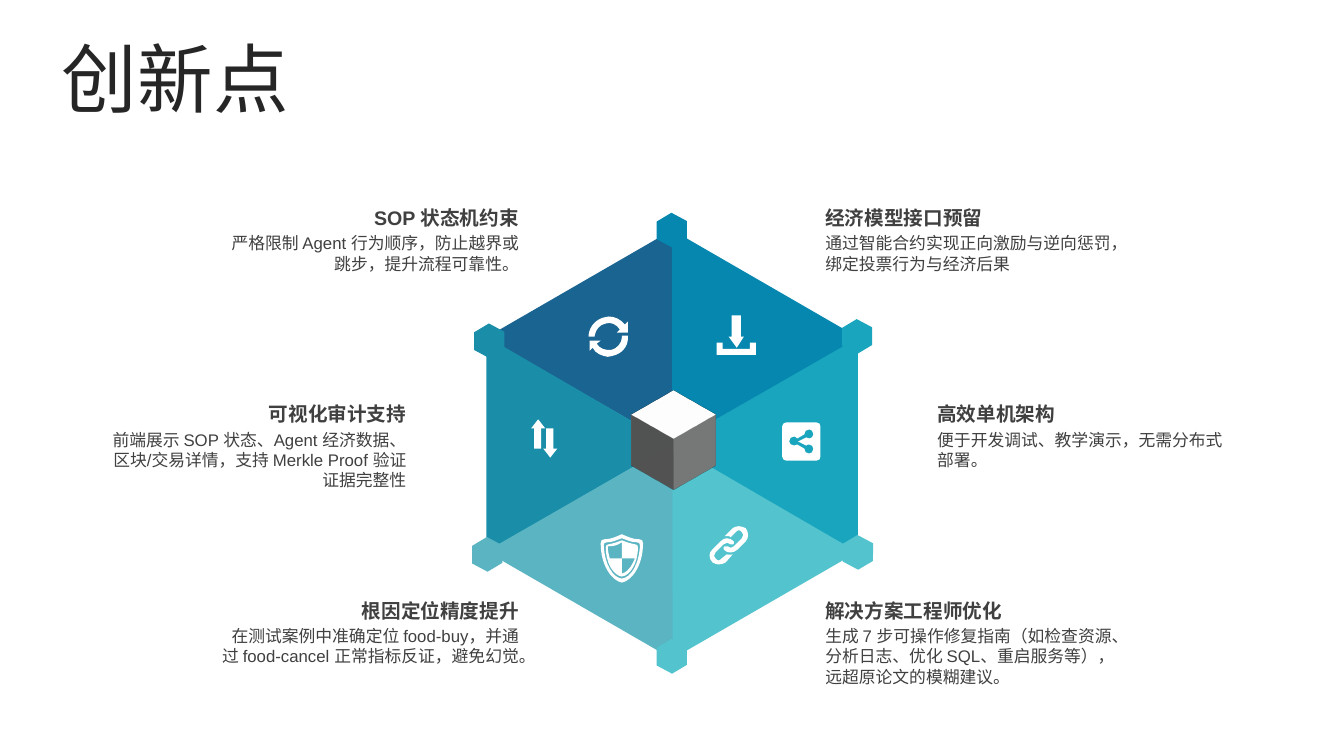
"""Build the innovation slide: a six-sector hexagon with icons and callouts."""
import math
from dataclasses import dataclass

from lxml import etree
from pptx import Presentation
from pptx.dml.color import RGBColor
from pptx.enum import shapes, text
from pptx.oxml.ns import qn
from pptx import util as u

CENTRE_X, CENTRE_Y, SECTOR_RADIUS = 16.94, 11.2, 2.34
SECTOR_WIDTH, SECTOR_HEIGHT = 5.43, 4.68
NODE_WIDTH, NODE_HEIGHT = 0.89, 0.76
CUBE_X, CUBE_Y, CUBE_SIDE, CUBE_DEPTH = 16.98, 10.45, 1.5, 1.56
FIRST_ROW, ROW_STEP, BODY_DROP = 5.06, 4.95, 0.69
CALLOUT_WIDTH = 8.0
ICON_UNIT = u.Cm(0.0254)


@dataclass
class Sector:
    angle: int
    colour: str


@dataclass
class Node:
    x: float
    y: float
    colour: str


@dataclass
class Callout:
    left: float
    row: int
    align: text.PP_ALIGN
    heading: str
    body: str
    height: float


LEFT, RIGHT = text.PP_ALIGN.LEFT, text.PP_ALIGN.RIGHT

SECTORS = [
    Sector(60, "53C3CD"), Sector(240, "196491"), Sector(0, "19A5BE"),
    Sector(180, "1A8EA9"), Sector(120, "5AB4C1"), Sector(300, "0587AF"),
]

NODES = [
    Node(16.93, 5.8, "0587AF"), Node(21.6, 8.48, "19A5BE"),
    Node(21.62, 13.92, "53C3CD"), Node(16.93, 16.54, "53C3CD"),
    Node(12.28, 13.97, "5AB4C1"), Node(12.33, 8.59, "1A8EA9"),
]

REFRESH = (
    "M617,333 L623,333 L623,335 C623,344,617,351,608,353 C607,353,605,354,603,354 "
    "C597,353,591,351,588,345 L585,348 L585,338 L596,338 L592,341 "
    "C595,346,601,348,607,347 C612,346,617,340,617,335 "
    "M604,314 C610,314,616,317,620,322 L623,319 L623,330 L612,330 L615,327 "
    "C612,322,606,319,601,321 C595,322,591,327,590,333 L590,334 L584,334 L584,332 "
    "C585,324,591,317,599,315 C601,314,602,314,604,314")
DOWNLOAD = (
    "M711,340 L717,340 L717,346 L744,346 L744,340 L750,340 L750,352 L711,352 "
    "M726,313 L735,313 L735,334 L738,334 L731,345 L723,334 L726,334")
ARROWS = (
    "M542,425 L549,425 L549,445 L553,445 L546,454 L539,445 L542,445 "
    "M534,416 L541,425 L537,425 L537,445 L530,445 L530,425 L527,425")
SHIELD = (
    "M617,554 L617,569 C625,567,628,558,630,554 "
    "M617,538 C612,541,610,542,603,542 C603,546,604,550,605,554 L617,554 "
    "M617,536 C622,538,625,539,630,540 C632,540,633,541,633,543 "
    "C633,559,625,571,617,572 C609,571,601,559,601,543 "
    "C601,541,602,540,604,540 C609,539,612,538,617,536 "
    "M617,534 C611,536,608,538,602,538 C600,538,599,539,599,541 "
    "C600,560,608,573,617,574 C626,573,634,560,635,541 "
    "C635,539,634,538,632,538 C626,538,623,536,617,534 "
    "M617,530 C624,533,628,535,634,535 C637,535,638,536,638,539 "
    "C638,561,627,576,617,578 C607,576,596,561,596,539 "
    "C596,536,597,535,600,535 C606,535,610,533,617,530")
SHARE = (
    "M803,426 C800,426,798,428,798,431 L791,435 C790,434,789,433,788,433 "
    "C785,433,783,435,783,438 C783,440,785,442,788,442 C789,442,790,442,791,441 "
    "L798,445 C798,448,800,450,803,450 C805,450,807,448,807,445 "
    "C807,443,805,441,803,441 C802,441,800,441,800,442 L792,438 L800,434 "
    "C801,435,802,435,803,435 C805,435,807,433,807,431 C807,428,805,426,803,426 "
    "M780,419 L810,419 C813,419,814,421,814,423 L814,453 C814,455,813,457,810,457 "
    "L780,457 C778,457,776,455,776,453 L776,423 C776,421,778,419,780,419")
LINK = (
    "M721,534 C724,534,726,535,728,537 C729,540,727,541,725,540 "
    "C723,538,720,538,718,540 L710,548 C708,550,708,553,710,554 "
    "C711,555,712,556,713,556 C714,556,715,555,716,554 L721,550 "
    "C722,550,725,551,727,550 L720,558 C718,559,716,560,713,560 "
    "C711,560,709,559,707,558 C703,554,703,548,707,545 L715,537 C717,535,719,534,721,534 "
    "M733,522 C735,522,738,523,740,524 C743,528,743,534,740,537 L732,545 "
    "C728,549,722,549,719,546 C719,545,718,545,718,545 C717,542,720,541,722,542 "
    "C724,544,726,544,728,542 L736,534 C738,532,738,529,736,528 "
    "C736,527,734,526,733,526 C732,526,731,527,730,528 L725,533 "
    "C725,532,721,531,719,532 L727,524 C728,523,731,522,733,522")

CALLOUTS = [
    Callout(23.37, 1, LEFT, "高效单机架构", "便于开发调试、教学演示，无需分布式部署。", 1.28),
    Callout(2.49, 1, RIGHT, "可视化审计支持",
            "前端展示 SOP 状态、Agent 经济数据、区块/交易详情，支持 Merkle Proof 验证证据完整性", 1.8),
    Callout(20.55, 0, LEFT, "经济模型接口预留",
            "通过智能合约实现正向激励与逆向惩罚，绑定投票行为与经济后果", 1.28),
    Callout(20.55, 2, LEFT, "解决方案工程师优化",
            "生成 7 步可操作修复指南（如检查资源、分析日志、优化 SQL、重启服务等），远超原论文的模糊建议。", 1.8),
    Callout(5.33, 0, RIGHT, "SOP 状态机约束",
            "严格限制 Agent 行为顺序，防止越界或跳步，提升流程可靠性。", 1.28),
    Callout(5.33, 2, RIGHT, "根因定位精度提升",
            "在测试案例中准确定位 food-buy，并通过 food-cancel 正常指标反证，避免幻觉。", 1.8),
]


def rgb(colour: str) -> RGBColor:
    return RGBColor.from_string(colour)


def paint(shape, colour: str) -> None:
    shape.shadow.inherit = False
    shape.fill.solid()
    shape.fill.fore_color.rgb = rgb(colour)
    shape.line.fill.background()


def add_preset(page, kind, x: float, y: float, width: float, height: float,
               rotation: float, colour: str):
    shape = page.shapes.add_shape(kind, u.Cm(x - width / 2), u.Cm(y - height / 2),
                                  u.Cm(width), u.Cm(height))
    shape.rotation = rotation
    paint(shape, colour)
    return shape


def add_sector(page, sector: Sector) -> None:
    turn = math.radians(sector.angle)
    add_preset(page, shapes.MSO_SHAPE.ISOSCELES_TRIANGLE,
               CENTRE_X + SECTOR_RADIUS * math.cos(turn),
               CENTRE_Y + SECTOR_RADIUS * math.sin(turn),
               SECTOR_WIDTH, SECTOR_HEIGHT, (sector.angle + 270) % 360, sector.colour)


def add_node(page, node: Node) -> None:
    shape = add_preset(page, shapes.MSO_SHAPE.HEXAGON, node.x, node.y,
                       NODE_WIDTH, NODE_HEIGHT, 329.1, node.colour)
    shape.adjustments[0] = 0.3


def add_cube(page) -> None:
    cube = add_preset(page, shapes.MSO_SHAPE.RECTANGLE, CUBE_X, CUBE_Y,
                      CUBE_SIDE, CUBE_SIDE, 0, "F2F2F2")
    properties = cube._element.spPr
    scene = etree.SubElement(properties, qn("a:scene3d"))
    etree.SubElement(scene, qn("a:camera"), prst="isometricTopUp")
    etree.SubElement(scene, qn("a:lightRig"), rig="threePt", dir="t")
    etree.SubElement(properties, qn("a:sp3d"), extrusionH=str(u.Cm(CUBE_DEPTH)))


def add_icon(page, outline: str) -> None:
    rings, curves = [], []
    for command in outline.split():
        values = [float(value) * ICON_UNIT for value in command[1:].split(",")]
        points = list(zip(values[::2], values[1::2]))
        if command[0] == "M":
            rings.append(points)
            continue
        rings[-1] += points
        curves.append(command[0] == "C")
    builder = page.shapes.build_freeform(*rings[0][0], scale=1.0)
    for index, ring in enumerate(rings):
        if index:
            builder.move_to(*ring[0])
        builder.add_line_segments(ring[1:], close=True)
    icon = builder.convert_to_shape()
    paint(icon, "FFFFFF")
    lines = iter(list(icon._element.iter(qn("a:lnTo"))))
    for curved in curves:
        line = next(lines)
        if curved:
            line.addprevious(bend := line.makeelement(qn("a:cubicBezTo"), {}))
            for part in (line, next(lines), next(lines)):
                bend.append(part[0])
                part.getparent().remove(part)


def set_font(para, name: str, size: int, colour: str, bold: bool = False) -> None:
    para.font.name, para.font.size, para.font.bold = name, u.Pt(size), bold
    para.font.color.rgb = rgb(colour)


def add_text(page, callout: Callout, words: str, drop: float, height: float,
             size: int, bold: bool) -> None:
    top = FIRST_ROW + callout.row * ROW_STEP + drop
    box = page.shapes.add_textbox(u.Cm(callout.left), u.Cm(top),
                                  u.Cm(CALLOUT_WIDTH), u.Cm(height))
    box.text_frame.word_wrap = True
    box.text_frame.auto_size = text.MSO_AUTO_SIZE.SHAPE_TO_FIT_TEXT
    para = box.text_frame.paragraphs[0]
    para.text, para.alignment = words, callout.align
    set_font(para, "Arial", size, "404040", bold)


def set_title(page, words: str) -> None:
    title = page.shapes.title
    title.left, title.top, title.width, title.height = map(u.Cm, (0.9, 0.94, 7.04, 2.29))
    title.text_frame.vertical_anchor = text.MSO_ANCHOR.MIDDLE
    title.text_frame.auto_size = text.MSO_AUTO_SIZE.NONE
    para = title.text_frame.paragraphs[0]
    para.text, para.alignment, para.line_spacing = words, text.PP_ALIGN.CENTER, 0.9
    set_font(para, "Noto Sans CJK SC", 54, "262626")
    defaults = para._p.pPr.find(qn("a:defRPr"))
    etree.SubElement(defaults, qn("a:ea"), typeface="Noto Sans CJK SC")


def main() -> None:
    deck = Presentation()
    deck.slide_width, deck.slide_height = u.Cm(33.87), u.Cm(19.05)
    page = deck.slides.add_slide(deck.slide_layouts[5])
    set_title(page, "创新点")
    for sector in SECTORS:
        add_sector(page, sector)
    add_cube(page)
    for outline in (REFRESH, DOWNLOAD, ARROWS, SHIELD, SHARE, LINK):
        add_icon(page, outline)
    for callout in CALLOUTS:
        add_text(page, callout, callout.heading, 0, 0.87, 14, True)
        add_text(page, callout, callout.body, BODY_DROP, callout.height, 12, False)
    for node in NODES:
        add_node(page, node)
    deck.save("out.pptx")


if __name__ == "__main__":
    main()
